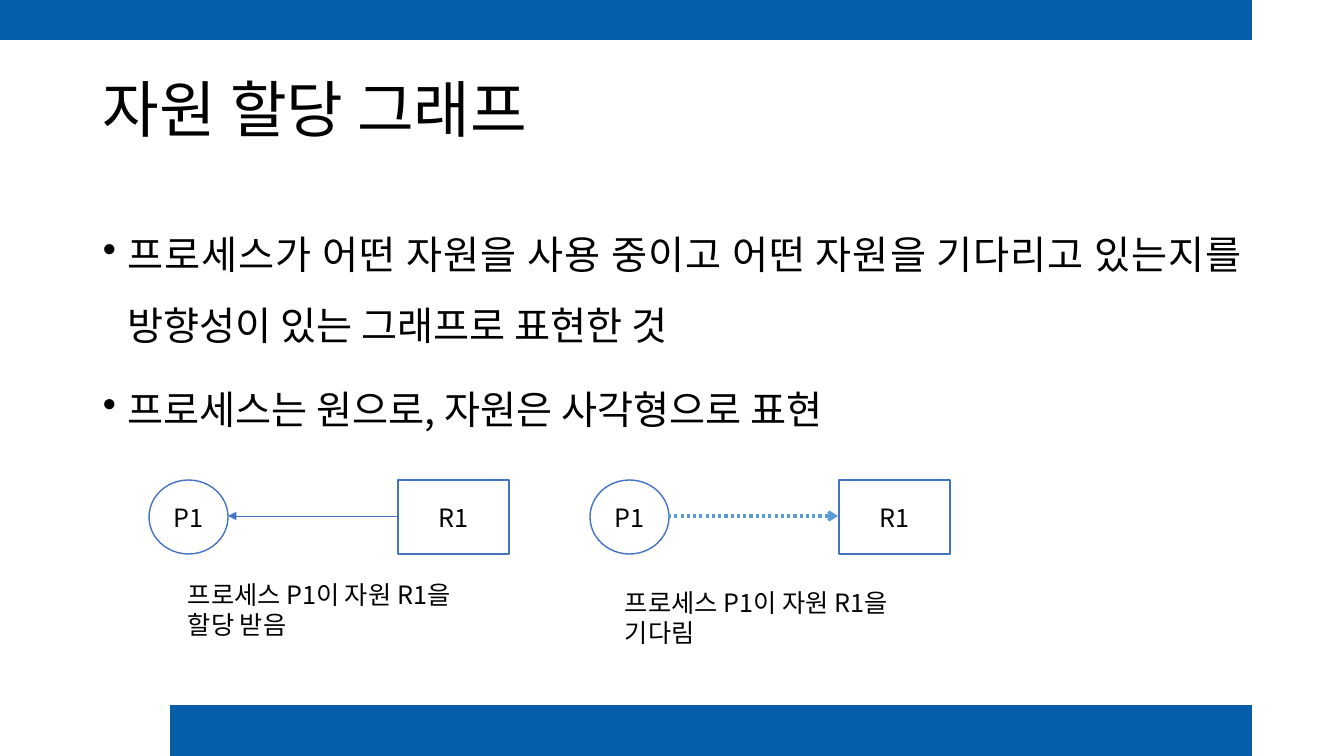
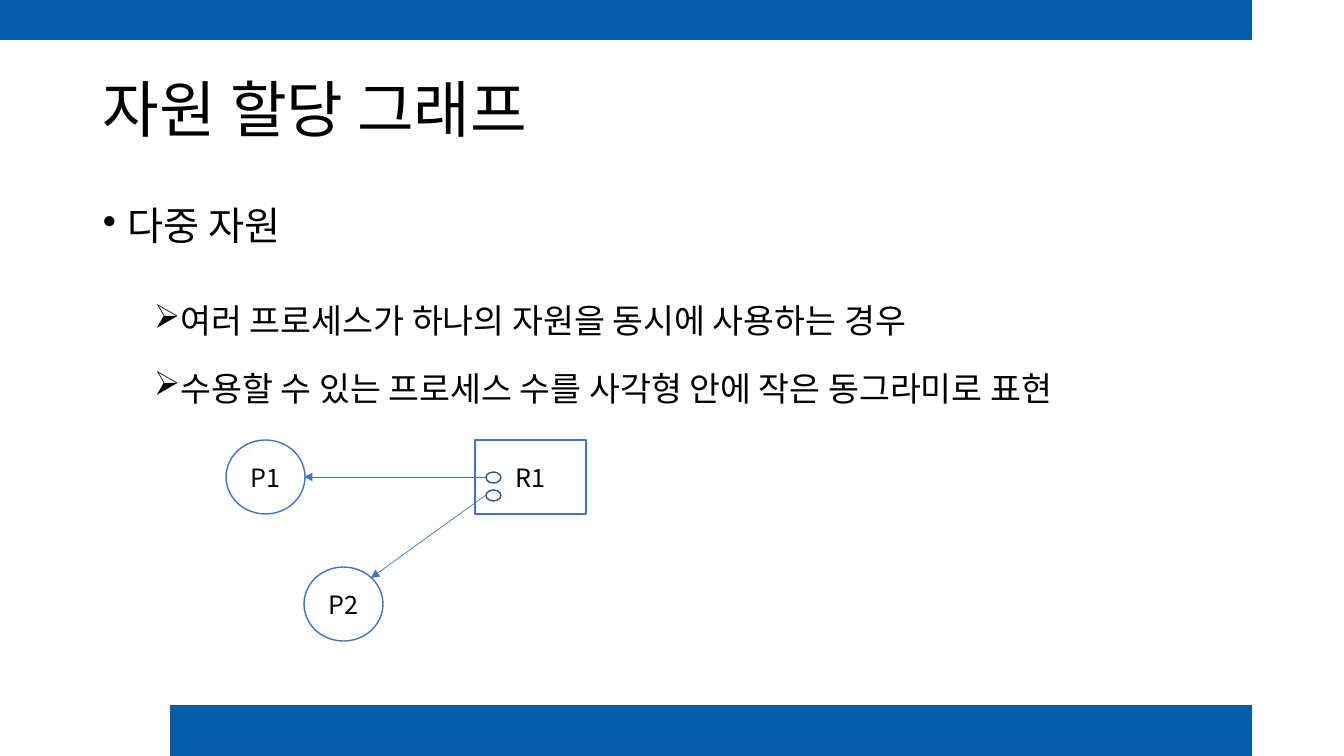
from lxml import etree
from pptx import Presentation
from pptx.dml.color import RGBColor
from pptx.enum import dml, shapes, text as txt
from pptx.oxml import ns
from pptx.util import Pt

PX = 12192000 / 1344
FONT = "Noto Sans CJK KR"
BAND = RGBColor(0x06, 0x5D, 0xAA)
EDGE = RGBColor(0x44, 0x72, 0xC4)
WAIT = RGBColor(0x5B, 0x9B, 0xD5)
DOT = RGBColor(0x32, 0x54, 0x91)
WHITE = RGBColor(255, 255, 255)
BLACK = RGBColor(0, 0, 0)
RECT = shapes.MSO_SHAPE.RECTANGLE
OVAL = shapes.MSO_SHAPE.OVAL
LEFT, MID, JUST = txt.PP_ALIGN.LEFT, txt.PP_ALIGN.CENTER, txt.PP_ALIGN.JUSTIFY


def draw(page, box, kind=None, fill=WHITE, line=None):
    """Add a preset shape, or a text box when no kind is given."""
    place = [round(n * PX) for n in box]
    if kind is None:
        item = page.shapes.add_textbox(*place)
    else:
        item = page.shapes.add_shape(kind, *place)
        item.shadow.inherit = False
        item.fill.solid()
        item.fill.fore_color.rgb = fill
        if line is None:
            item.line.fill.background()
        else:
            item.line.color.rgb = line
            item.line.width = Pt(1)
    item.text_frame.word_wrap = True
    return item


def write(item, words, size=18, align=LEFT, anchor=txt.MSO_ANCHOR.TOP,
          space=1.0, before=0, bullet=None, left=0):
    """Add one paragraph to a shape."""
    frame = item.text_frame
    frame.vertical_anchor = anchor
    para = frame.add_paragraph() if frame.text else frame.paragraphs[0]
    para.alignment, para.line_spacing = align, space
    para.space_before = Pt(before)
    run = para.add_run()
    run.text = words
    run.font.name, run.font.size = FONT, Pt(size)
    run.font.color.rgb = BLACK
    east = etree.SubElement(run._r.get_or_add_rPr(), ns.qn("a:ea"))
    east.set("typeface", FONT)
    if bullet:
        props = para._p.get_or_add_pPr()
        props.set("marL", str(round(left * PX)))
        props.set("indent", str(round(-25 * PX)))
        etree.SubElement(props, ns.qn("a:buChar")).set("char", bullet)


deck = Presentation()
deck.slide_width, deck.slide_height = round(1344 * PX), round(756 * PX)

# Text of the two slides
main = dict(size=28, align=JUST, before=10, bullet="•", left=25)
sub = dict(size=24, align=JUST, space=1.5, bullet="➢", left=76)
bodies = [
    [("프로세스가 어떤 자원을 사용 중이고 어떤 자원을 기다리고 있는지를 "
      "방향성이 있는 그래프로 표현한 것", dict(main, space=1.5)),
     ("프로세스는 원으로, 자원은 사각형으로 표현", dict(main, space=1.5))],
    [("다중 자원", dict(main, space=0.9)),
     ("여러 프로세스가 하나의 자원을 동시에 사용하는 경우", dict(sub, before=22)),
     ("수용할 수 있는 프로세스 수를 사각형 안에 작은 동그라미로 표현",
      dict(sub, before=5))],
]

# Graph nodes: name, left, top
STEP = 441
nodes = [
    [(name, x + i * STEP, 480) for i in range(2)
     for name, x in (("P1", 149), ("R1", 398))],
    [("P1", 226, 440), ("R1", 475, 440), ("P2", 304, 567)],
]

# Arrows: start, end, colour, width, dash, head
hold = (EDGE, 0.5, None, "triangle")
want = (WAIT, 2.25, dml.MSO_LINE.ROUND_DOT, "arrow")
links = [
    [((398, 516), (228, 516), *hold), ((668, 516), (838, 516), *want)],
    [((486, 477), (304, 477), *hold), ((486, 495), (371, 578), *hold)],
]

captions = [
    [("프로세스 P1이 자원 R1을 할당 받음", 178, 574),
     ("프로세스 P1이 자원 R1을 기다림", 615, 582)],
    [],
]
dots = [[], [490, 472]]

for body, group, arrows, notes, slots in zip(bodies, nodes, links, captions, dots):
    page = deck.slides.add_slide(deck.slide_layouts[6])

    # Bands and title
    for band in ((170, 705, 1082, 51), (0, 0, 1252, 40)):
        draw(page, band, RECT, BAND)
    write(draw(page, (93, 40, 1159, 146)), "자원 할당 그래프", size=44,
          anchor=txt.MSO_ANCHOR.MIDDLE, space=0.9)

    # Bullets
    area = draw(page, (93, 202, 1159, 480))
    for words, style in body:
        write(area, words, **style)

    # Processes and resources
    for name, x, y in group:
        kind, wide = (OVAL, 79) if name[0] == "P" else (RECT, 111)
        write(draw(page, (x, y, wide, 74), kind, line=EDGE), name,
              align=MID, anchor=txt.MSO_ANCHOR.MIDDLE)
    for y in slots:
        draw(page, (486, y, 15, 11), OVAL, line=DOT)

    # Arrows
    for start, end, color, width, dash, head in arrows:
        ends = [round(n * PX) for n in start + end]
        wire = page.shapes.add_connector(shapes.MSO_CONNECTOR.STRAIGHT, *ends)
        wire.line.color.rgb = color
        wire.line.width = Pt(width)
        if dash:
            wire.line.dash_style = dash
        tip = etree.SubElement(wire.line._get_or_add_ln(), ns.qn("a:tailEnd"))
        tip.set("type", head)
        etree.SubElement(wire._element.spPr, ns.qn("a:effectLst"))

    # Captions
    for words, x, y in notes:
        write(draw(page, (x, y, 317, 72)), words)

deck.save("out.pptx")
